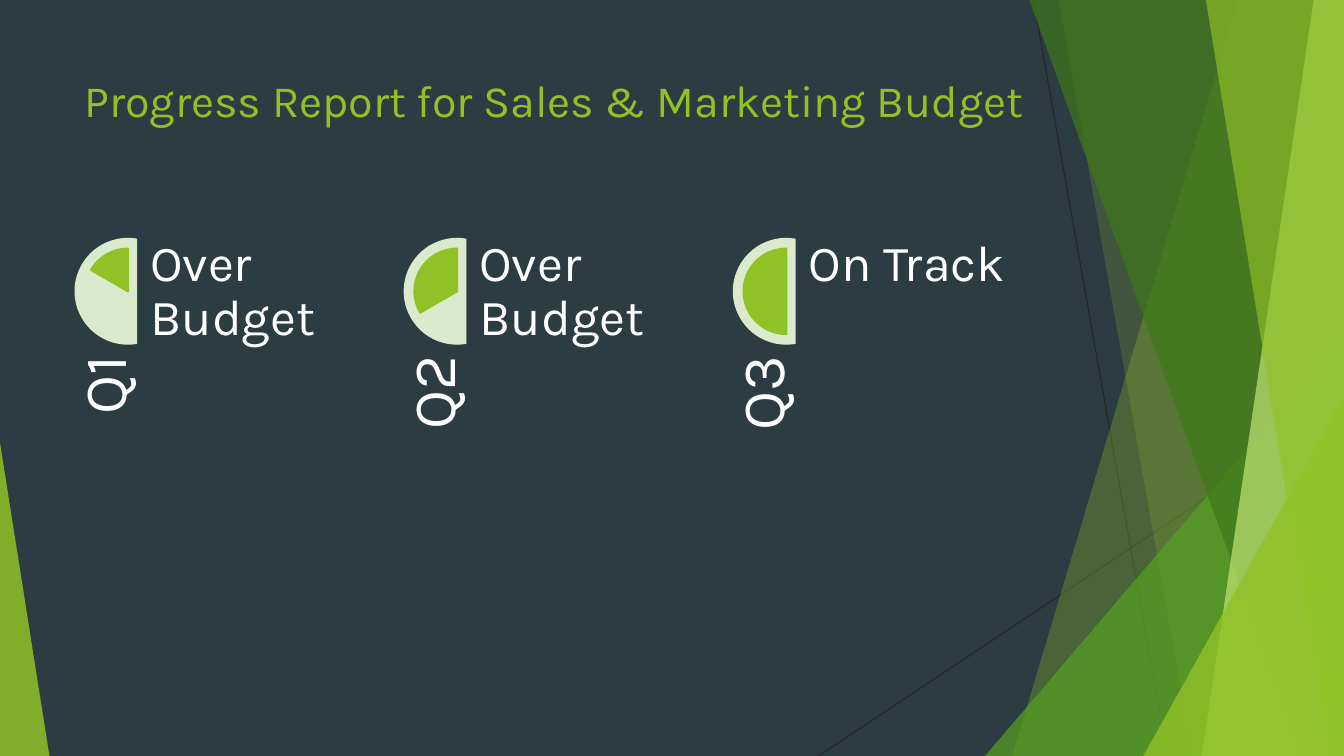
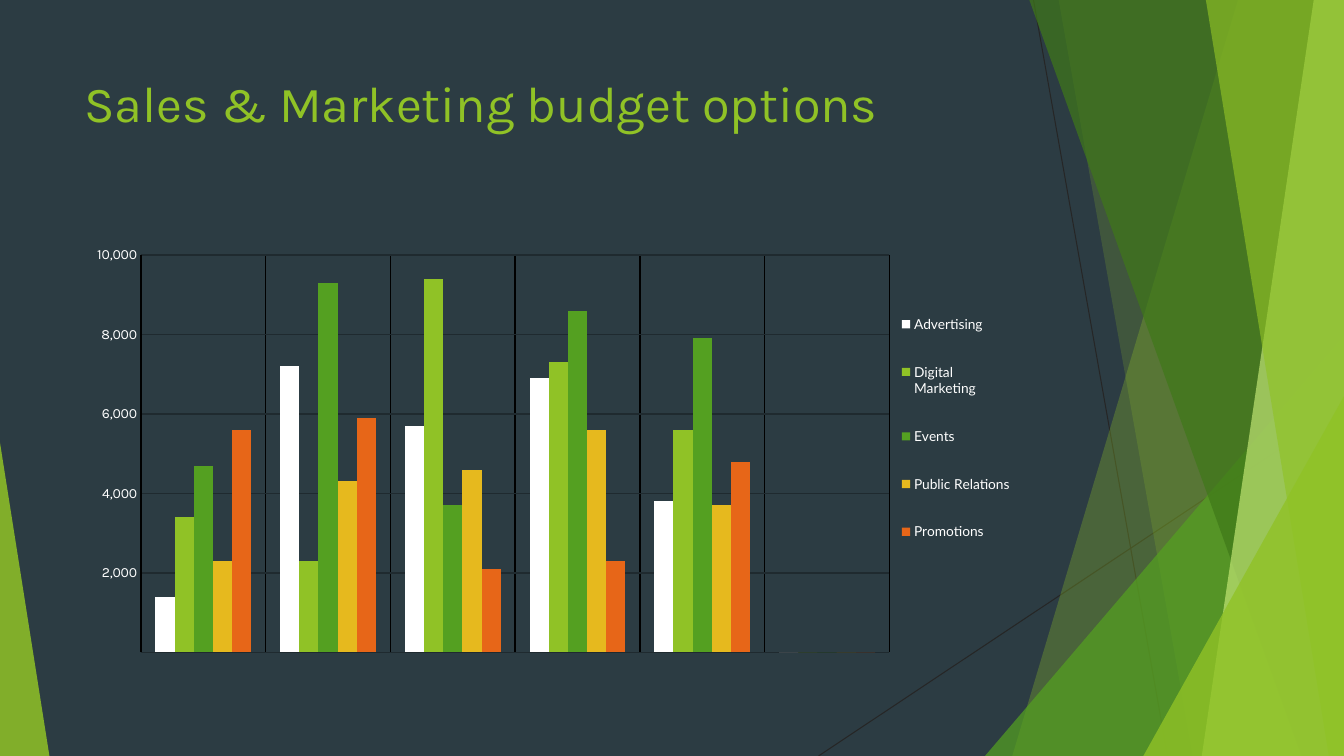
from lxml.etree import SubElement
from pptx import Presentation
from pptx.chart.data import CategoryChartData
from pptx.dml.color import RGBColor
from pptx.enum.chart import XL_CHART_TYPE, XL_LEGEND_POSITION, XL_TICK_MARK
from pptx.enum.shapes import MSO_CONNECTOR, MSO_SHAPE
from pptx.enum.text import MSO_ANCHOR, PP_ALIGN
from pptx.oxml import parse_xml
from pptx.oxml.ns import nsdecls, qn
from pptx.util import Inches, Pt

BACKGROUND = "2C3C43"
LIME = "90C226"
GREEN = "54A021"
DARK_GREEN = "3F7819"
PALE_LIME = "C0E474"
DIAL = "DBE9CD"
YELLOW = "E6B91E"
ORANGE = "E76618"
WHITE = "FFFFFF"
BLACK = "000000"
FAINT_GRID = "1F2A2F"
THIN_LINE = "262626"
FONT = "Karla"
LEGEND_FONT = "Lato"

LEFT, BODY_TOP, BODY_HEIGHT = 5.55, 31.47, 56.53
CONTENT_WIDTH = 70.5
QUARTER_PITCH = 24.49
DIAL_WIDTH, DIAL_HEIGHT = 7.95, 14.13
PIE_SHARE = 0.8
PIE_END = 162

THIN_LINES = [(76.9, 0, 86.87, 100), (100, 53.73, 60.9, 100)]
BACK_SHARDS = [(92.12, 75.32, LIME, 30), (78.77, 88.75, LIME, 20)]
FRONT_SHARDS = [
    (76.59, 96.85, DARK_GREEN, 70),
    (97.75, 89.42, PALE_LIME, 70),
    (89.72, 98.87, LIME, 65),
]
QUARTERS = [("Q1", "Over Budget", 126), ("Q2", "Over Budget", 90), ("Q3", "On Track", 54)]
BUDGET = [
    ("Advertising", WHITE, (1400, 7200, 5700, 6900, 3800, 0)),
    ("Digital Marketing", LIME, (3400, 2300, 9400, 7300, 5600, 0)),
    ("Events", GREEN, (4700, 9300, 3700, 8600, 7900, 0)),
    ("Public Relations", YELLOW, (2300, 4300, 4600, 5600, 3700, 0)),
    ("Promotions", ORANGE, (5600, 5900, 2100, 2300, 4800, 0)),
]


def rgb(value):
    """Turn a hex string into a colour."""
    return RGBColor.from_string(value)


def style_font(font, size, color=WHITE, name=FONT):
    """Set the size, colour and typeface of a font."""
    font.size, font.name = Pt(size), name
    font.color.rgb = rgb(color)


def style_line(line, color, width):
    """Set the colour and width of a line."""
    line.color.rgb, line.width = rgb(color), Pt(width)


def write(frame, text, size, color=WHITE, align=PP_ALIGN.LEFT, anchor=MSO_ANCHOR.TOP,
          spacing=1.0, inset=None):
    """Put formatted text into a text frame."""
    frame.word_wrap, frame.vertical_anchor = True, anchor
    if inset is not None:
        frame.margin_left = frame.margin_right = Inches(inset)
        frame.margin_top = frame.margin_bottom = Inches(inset)
    paragraph = frame.paragraphs[0]
    paragraph.alignment, paragraph.line_spacing = align, spacing
    run = paragraph.add_run()
    run.text = text
    style_font(run.font, size, color)


def place(element, position, x, y, width, height, inner=False):
    """Give a chart part a fixed place, in shares of the chart."""
    for layout in element.findall(qn("c:layout")):
        element.remove(layout)
    target = '<c:layoutTarget val="inner"/>' if inner else ""
    values = "".join(f'<c:{tag} val="{value}"/>'
                     for tag, value in zip("xywh", (x, y, width, height)))
    element.insert(position, parse_xml(
        f'<c:layout {nsdecls("c")}><c:manualLayout>{target}<c:xMode val="edge"/>'
        f'<c:yMode val="edge"/>{values}</c:manualLayout></c:layout>'))


class Deck:
    """Hold the style and the current slide, on a grid of 100 columns by 100 rows."""

    def __init__(self):
        """Start a wide presentation."""
        self.presentation = Presentation()
        self.presentation.slide_width = Inches(13.33)
        self.presentation.slide_height = Inches(7.5)
        self.slide = None

    def column(self, share):
        """Convert columns to a length."""
        return round(self.presentation.slide_width * share / 100)

    def row(self, share):
        """Convert rows to a length."""
        return round(self.presentation.slide_height * share / 100)

    def box(self, left, top, width, height):
        """Convert a grid box to lengths."""
        return self.column(left), self.row(top), self.column(width), self.row(height)

    def new_slide(self, title, size, width):
        """Add a slide with the shared backdrop and a title."""
        self.slide = self.presentation.slides.add_slide(self.presentation.slide_layouts[6])
        fill = self.slide.background.fill
        fill.solid()
        fill.fore_color.rgb = rgb(BACKGROUND)
        self.backdrop()
        self.text(title, (LEFT, 8.93, width, 19.2), size=size, color=LIME)

    def backdrop(self):
        """Draw the translucent shards and thin lines at the slide's edges."""
        for ends in THIN_LINES:
            self.line(*ends)
        for shard in BACK_SHARDS:
            self.shard(*shard)
        self.triangle(73.29, 44.4, 26.71, 1, GREEN, 72)
        for shard in FRONT_SHARDS:
            self.shard(*shard)
        self.triangle(85.07, 52.4, 14.93, 1, LIME, 80)
        self.triangle(0, 58.53, 3.68, 0, LIME, 85)

    def paint(self, shape, color, opacity=100):
        """Fill a shape, without line or shadow."""
        shape.shadow.inherit = False
        shape.fill.solid()
        shape.fill.fore_color.rgb = rgb(color)
        if opacity < 100:
            for tone in shape.element.spPr.iter(qn("a:srgbClr")):
                SubElement(tone, qn("a:alpha")).set("val", str(opacity * 1000))
        shape.line.fill.background()

    def line(self, start_column, start_row, end_column, end_row):
        """Draw a thin straight line."""
        connector = self.slide.shapes.add_connector(
            MSO_CONNECTOR.STRAIGHT, self.column(start_column), self.row(start_row),
            self.column(end_column), self.row(end_row))
        style_line(connector.line, THIN_LINE, 0.75)
        SubElement(connector.element.spPr, qn("a:effectLst"))

    def shard(self, top_column, bottom_column, color, opacity):
        """Draw a full-height shard that reaches the right edge."""
        builder = self.slide.shapes.build_freeform(self.column(top_column), 0)
        builder.add_line_segments([
            (self.column(100), 0), (self.column(100), self.row(100)),
            (self.column(bottom_column), self.row(100))])
        self.paint(builder.convert_to_shape(), color, opacity)

    def preset(self, kind, box, adjustments, color, opacity=100):
        """Draw a filled preset shape."""
        shape = self.slide.shapes.add_shape(kind, *self.box(*box))
        for index, value in enumerate(adjustments):
            shape.adjustments[index] = value
        self.paint(shape, color, opacity)
        return shape

    def triangle(self, left, top, width, apex, color, opacity):
        """Draw a triangle that stands on the bottom edge."""
        self.preset(MSO_SHAPE.ISOSCELES_TRIANGLE, (left, top, width, 100 - top),
                    [apex], color, opacity)

    def text(self, text, box, rotation=0, **style):
        """Add a text box."""
        shape = self.slide.shapes.add_textbox(*self.box(*box))
        shape.rotation = rotation
        write(shape.text_frame, text, **style)

    def quarter(self, left, name, status, pie_start):
        """Draw a progress dial with its quarter and status."""
        self.preset(MSO_SHAPE.CHORD, (left, BODY_TOP, DIAL_WIDTH, DIAL_HEIGHT),
                    (48, 168), DIAL)
        margin = (1 - PIE_SHARE) / 2
        pie_box = (left + DIAL_WIDTH * margin, BODY_TOP + DIAL_HEIGHT * margin,
                   DIAL_WIDTH * PIE_SHARE, DIAL_HEIGHT * PIE_SHARE)
        pie = self.preset(MSO_SHAPE.PIE, pie_box, (pie_start, PIE_END), LIME)
        style_line(pie.line, LIME, 1.5)
        self.text(name, (left - 9.15, 63.33, 23.1, 8.53), rotation=270, size=43,
                  align=PP_ALIGN.RIGHT, anchor=MSO_ANCHOR.BOTTOM, spacing=0.9, inset=0)
        self.text(status, (left + 5.63, BODY_TOP, 15.9, BODY_HEIGHT), size=36,
                  spacing=0.9, inset=0)

    def column_chart(self, box, rows):
        """Add a clustered column chart with a legend on the right."""
        data = CategoryChartData()
        data.categories = [str(number + 1) for number in range(len(rows[0][2]))]
        for name, _, values in rows:
            data.add_series(name, values)
        chart = self.slide.shapes.add_chart(
            XL_CHART_TYPE.COLUMN_CLUSTERED, *self.box(*box), data).chart
        style_font(chart.font, 10)
        chart.has_title = False
        plot = chart.plots[0]
        plot.gap_width, plot.overlap, plot.vary_by_categories = 150, 0, False
        for series, (_, color, _) in zip(plot.series, rows):
            series.format.fill.solid()
            series.format.fill.fore_color.rgb = rgb(color)
        self.chart_axes(chart.category_axis, chart.value_axis)
        chart.has_legend = True
        legend = chart.legend
        legend.position, legend.include_in_layout = XL_LEGEND_POSITION.RIGHT, False
        style_font(legend.font, 9.8, name=LEGEND_FONT)
        place(next(chart.element.iter(qn("c:plotArea"))), 0, 0.07, 0.04, 0.79, 0.93, True)
        place(next(chart.element.iter(qn("c:legend"))), 1, 0.87, 0.11, 0.12, 0.67)

    def chart_axes(self, category_axis, value_axis):
        """Format both axes and their gridlines."""
        category_axis.visible = False
        for axis, color in ((category_axis, BLACK), (value_axis, FAINT_GRID)):
            axis.has_major_gridlines = True
            style_line(axis.major_gridlines.format.line, color, 1)
        value_axis.minimum_scale, value_axis.maximum_scale = 0, 10000
        value_axis.major_unit = 2000
        value_axis.major_tick_mark = XL_TICK_MARK.NONE
        value_axis.tick_labels.number_format = "#,##0;;"
        value_axis.tick_labels.number_format_is_linked = False
        style_font(value_axis.tick_labels.font, 10)
        style_line(value_axis.format.line, BLACK, 1)


def main():
    """Build both slides and save them."""
    deck = Deck()
    deck.new_slide("Progress Report for Sales & Marketing Budget", 32, 77.4)
    for index, quarter in enumerate(QUARTERS):
        deck.quarter(LEFT + index * QUARTER_PITCH, *quarter)
    deck.new_slide("Sales & Marketing budget options", 36, CONTENT_WIDTH)
    deck.column_chart((LEFT, BODY_TOP, CONTENT_WIDTH, BODY_HEIGHT), BUDGET)
    deck.presentation.save("out.pptx")


if __name__ == "__main__":
    main()
